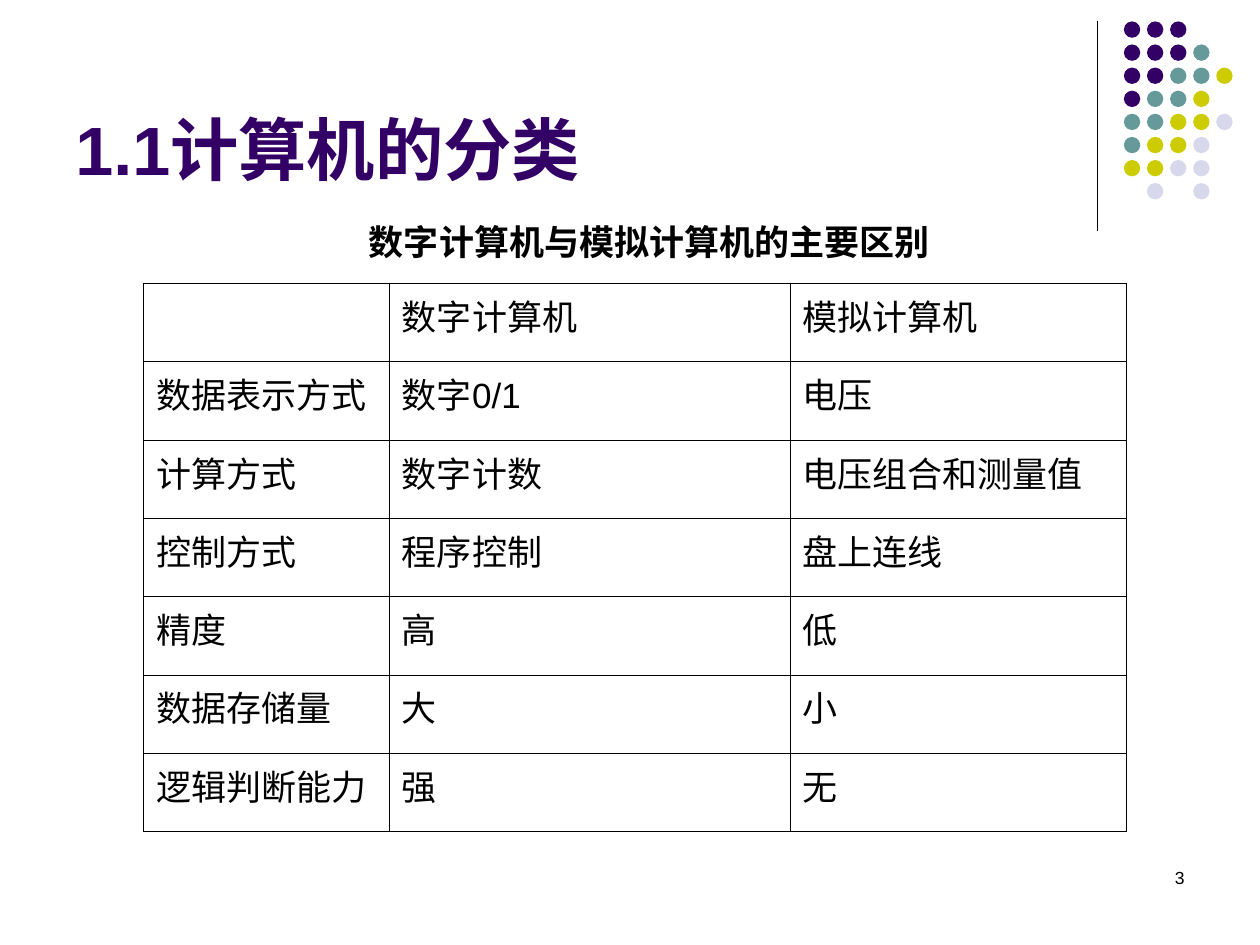
import dataclasses
import typing

import pptx
import pptx.dml.color
import pptx.enum.shapes
import pptx.enum.text
import pptx.oxml
import pptx.oxml.ns
import pptx.util

Inches = pptx.util.Inches
Pt = pptx.util.Pt
Color = pptx.dml.color.RGBColor
Align = pptx.enum.text.PP_ALIGN
Anchor = pptx.enum.text.MSO_ANCHOR


@dataclasses.dataclass(frozen=True)
class Theme:
    font: str = "Arial"
    ink: str = "000000"
    purple: str = "330066"
    teal: str = "669999"
    lime: str = "CCCC00"
    lavender: str = "D8D8EC"
    title_size: float = 39
    body_size: float = 20
    number_size: float = 10
    rule_width: float = 0.75
    outer_border: float = 1.08
    inner_border: float = 0.45


@dataclasses.dataclass(frozen=True)
class Box:
    left: float
    top: float
    width: float
    height: float

    def lengths(self) -> tuple:
        return tuple(Inches(value) for value in dataclasses.astuple(self))


THEME = Theme()

# Each letter is one dot, each string one row
DOT_ROWS = ["PPP", "PPPT", "PPTTL", "PTTL", "TTLLV", "TLLV", "LLVV", " V V"]
DOT_COLORS = {"P": THEME.purple, "T": THEME.teal, "L": THEME.lime, "V": THEME.lavender}
DOT_LEFT, DOT_TOP, DOT_PITCH, DOT_SIZE = 8.92, 0.17, 0.18, 0.13
DOT_PITCH = 0.55 / 3

TABLE_BOX = Box(1.14, 2.25, 7.8, 4.35)
COLUMN_WIDTHS = [1.95, 3.18, 2.67]
TABLE_ROWS = [
    ("", "数字计算机", "模拟计算机"),
    ("数据表示方式", "数字0/1", "电压"),
    ("计算方式", "数字计数", "电压组合和测量值"),
    ("控制方式", "程序控制", "盘上连线"),
    ("精度", "高", "低"),
    ("数据存储量", "大", "小"),
    ("逻辑判断能力", "强", "无"),
]


def write_text(frame: typing.Any, text: str, *, size: float = THEME.body_size,
               color: str = THEME.ink, bold: bool = False,
               align: Align = Align.LEFT) -> None:
    paragraph = frame.paragraphs[0]
    paragraph.alignment = align
    paragraph.font.size = Pt(size)
    if not text:
        return
    run = paragraph.add_run()
    run.text = text
    run.font.name = THEME.font
    run.font.size = Pt(size)
    run.font.bold = bold
    run.font.color.rgb = Color.from_string(color)


def add_text_box(slide: typing.Any, box: Box, text: str, *, wrap: bool = True,
                 anchor: Anchor = Anchor.TOP, **text_format: typing.Any) -> None:
    frame = slide.shapes.add_textbox(*box.lengths()).text_frame
    frame.word_wrap = wrap
    frame.vertical_anchor = anchor
    write_text(frame, text, **text_format)


def draw_rule(slide: typing.Any, left: float, top: float, bottom: float) -> None:
    rule = slide.shapes.add_connector(
        pptx.enum.shapes.MSO_CONNECTOR.STRAIGHT,
        Inches(left), Inches(top), Inches(left), Inches(bottom))
    rule.line.color.rgb = Color.from_string(THEME.ink)
    rule.line.width = Pt(THEME.rule_width)
    properties = rule._element.spPr
    properties.append(pptx.oxml.parse_xml(
        f'<a:effectLst {pptx.oxml.ns.nsdecls("a")}/>'))


def draw_dots(slide: typing.Any) -> None:
    for row, letters in enumerate(DOT_ROWS):
        for column, letter in enumerate(letters):
            if letter not in DOT_COLORS:
                continue
            box = Box(DOT_LEFT + column * DOT_PITCH, DOT_TOP + row * DOT_PITCH,
                      DOT_SIZE, DOT_SIZE)
            dot = slide.shapes.add_shape(
                pptx.enum.shapes.MSO_SHAPE.OVAL, *box.lengths())
            dot.shadow.inherit = False
            dot.fill.solid()
            dot.fill.fore_color.rgb = Color.from_string(DOT_COLORS[letter])
            dot.line.fill.background()


def set_borders(cell: typing.Any, outer_edges: dict[str, bool]) -> None:
    properties = cell._tc.get_or_add_tcPr()
    for position, (edge, outer) in enumerate(outer_edges.items()):
        width = Pt(THEME.outer_border if outer else THEME.inner_border)
        properties.insert(position, pptx.oxml.parse_xml(
            f'<a:ln{edge} {pptx.oxml.ns.nsdecls("a")} w="{width}"><a:solidFill>'
            f'<a:srgbClr val="{THEME.ink}"/></a:solidFill></a:ln{edge}>'))


def draw_table(slide: typing.Any) -> None:
    last_row, last_column = len(TABLE_ROWS) - 1, len(COLUMN_WIDTHS) - 1
    table = slide.shapes.add_table(
        len(TABLE_ROWS), len(COLUMN_WIDTHS), *TABLE_BOX.lengths()).table
    table.first_row = False
    table.horz_banding = False
    for column, width in zip(table.columns, COLUMN_WIDTHS):
        column.width = Inches(width)
    for row, texts in enumerate(TABLE_ROWS):
        for column, text in enumerate(texts):
            cell = table.cell(row, column)
            cell.fill.background()
            write_text(cell.text_frame, text)
            set_borders(cell, {"L": column == 0, "R": column == last_column,
                               "T": row == 0, "B": row == last_row})


def main() -> None:
    presentation = pptx.Presentation()
    presentation.slide_width = Inches(10)
    presentation.slide_height = Inches(7.5)
    slide = presentation.slides.add_slide(presentation.slide_layouts[6])

    # Corner decoration
    draw_rule(slide, 8.71, 0.17, 1.83)
    draw_dots(slide)

    # Page number and title
    add_text_box(slide, Box(7.17, 6.83, 2.33, 0.5), "3",
                 size=THEME.number_size, align=Align.RIGHT)
    add_text_box(slide, Box(0.5, 0.13, 8.25, 1.42), "1.1计算机的分类",
                 anchor=Anchor.BOTTOM, size=THEME.title_size,
                 color=THEME.purple, bold=True)

    # Comparison table and its caption
    draw_table(slide)
    add_text_box(slide, Box(2.83, 1.7, 4.65, 0.44),
                 "数字计算机与模拟计算机的主要区别", wrap=False, bold=True)

    presentation.save("out.pptx")


if __name__ == "__main__":
    main()
